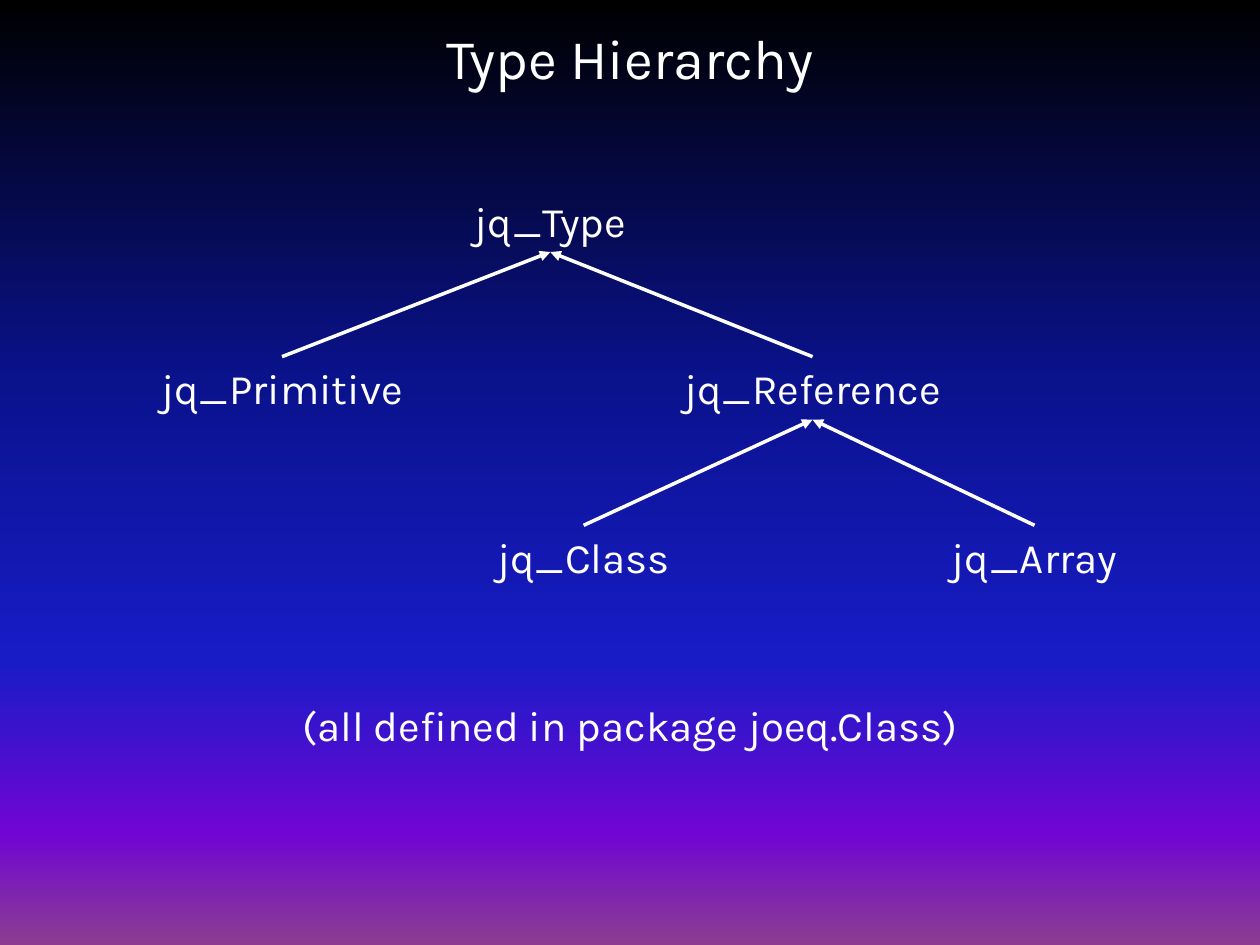
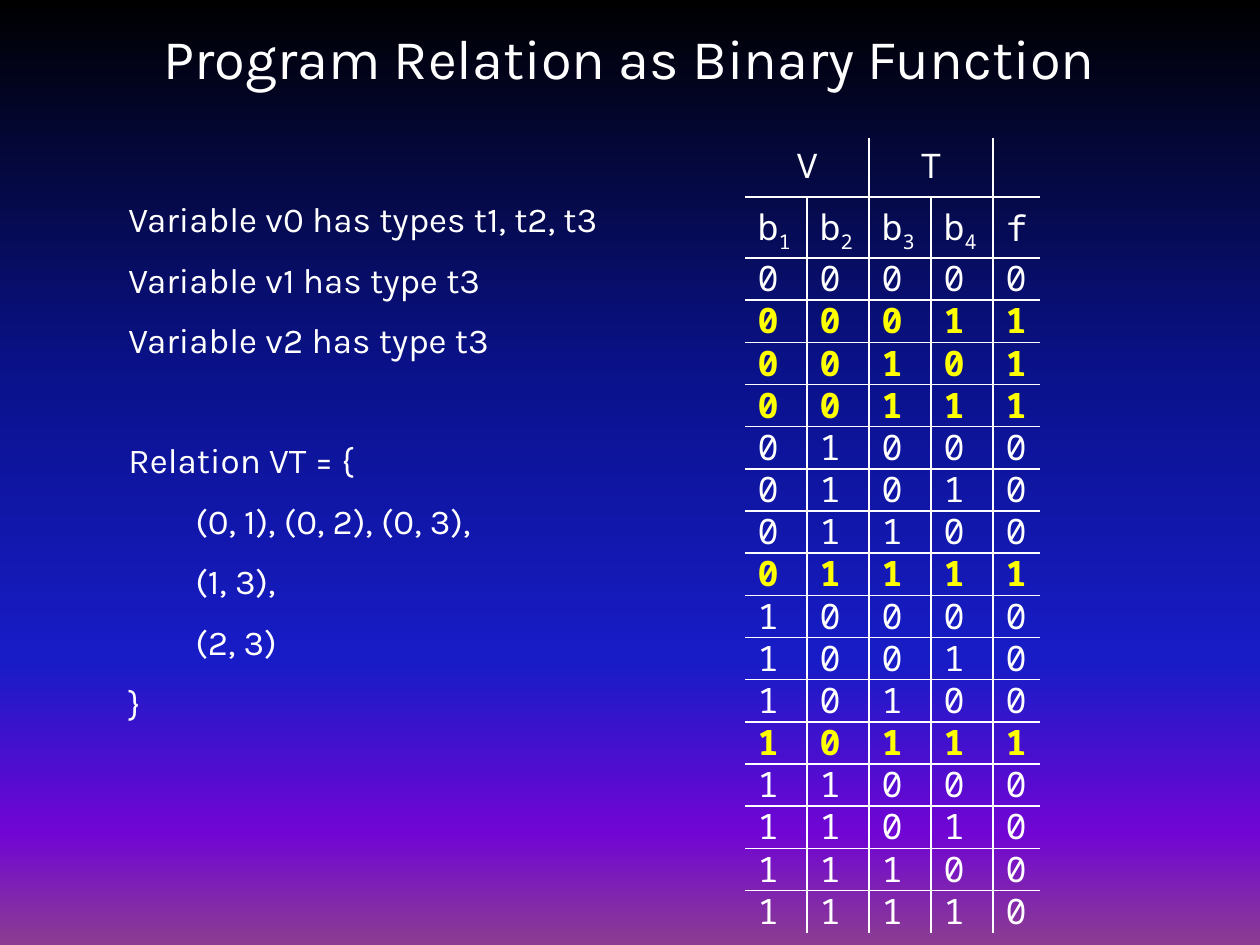
from itertools import product

from lxml import etree
from pptx import Presentation
from pptx.dml.color import RGBColor
from pptx.enum.shapes import MSO_CONNECTOR
from pptx.enum.text import MSO_ANCHOR as Anchor, PP_ALIGN as Align
from pptx.oxml.ns import qn
from pptx.util import Cm, Pt

COLORS = {"text": "FFFFFF", "highlight": "FFFF00"}
BACKGROUND_STOPS = {0: "000000", 40: "0A128C", 70: "181CC7", 88: "7005D4", 100: "8C3D91"}
SANS, MONO = "Karla", "Noto Sans Mono"

NODE_HEIGHT = 1.27
TYPES = {  # name: (left, top, width, parent)
    "jq_Type": (6.55, 3.81, 9.09, None),
    "jq_Primitive": (0.2, 7.19, 10.97, "jq_Type"),
    "jq_Reference": (10.74, 7.19, 11.28, "jq_Type"),
    "jq_Class": (7.42, 10.59, 8.69, "jq_Reference"),
    "jq_Array": (16.51, 10.59, 8.69, "jq_Reference"),
}

RELATION = {(0, 1), (0, 2), (0, 3), (1, 3), (2, 3)}
LINE_GAP, SECTION_GAP, PAIR_INDENT = 10.6, 44.6, 1.35
RELATION_LINES = [  # text, space before in points, indent in cm
    ("Variable v0 has types t1, t2, t3", 0, 0),
    ("Variable v1 has type t3", LINE_GAP, 0),
    ("Variable v2 has type t3", LINE_GAP, 0),
    ("Relation VT = {", SECTION_GAP, 0),
    ("(0, 1), (0, 2), (0, 3),", LINE_GAP, PAIR_INDENT),
    ("(1, 3),", LINE_GAP, PAIR_INDENT),
    ("(2, 3)", LINE_GAP, PAIR_INDENT),
    ("}", LINE_GAP, 0),
]


class Deck:
    def __init__(self):
        self.prs = Presentation()
        self.prs.slide_width, self.prs.slide_height = Cm(25.4), Cm(19.05)
        self.slide = None
        self.paint_background()

    def paint_background(self):
        fill = self.prs.slide_master.background.fill
        fill.gradient()
        fill.gradient_angle = 270
        background = self.prs.slide_master.element.cSld.find(qn("p:bg"))
        stops = background.find(".//" + qn("a:gsLst"))
        for stop in list(stops):
            stops.remove(stop)
        for percent, color in BACKGROUND_STOPS.items():
            stop = etree.SubElement(stops, qn("a:gs"), pos=str(percent * 1000))
            etree.SubElement(stop, qn("a:srgbClr"), val=color)

    def add_slide(self, title):
        self.slide = self.prs.slides.add_slide(self.prs.slide_layouts[5])
        heading = self.slide.shapes.title
        heading.left, heading.top = Cm(0), Cm(0.2)
        heading.width, heading.height = self.prs.slide_width, Cm(1.9)
        heading.text_frame.vertical_anchor = Anchor.MIDDLE
        paragraph = heading.text_frame.paragraphs[0]
        paragraph.alignment = Align.CENTER
        self.run(paragraph, title, 32)

    def run(self, paragraph, text, size, font=SANS, color="text", bold=False):
        run = paragraph.add_run()
        run.text = text
        run.font.size, run.font.name, run.font.bold = Pt(size), font, bold
        run.font.color.rgb = RGBColor.from_string(COLORS[color])
        return run

    def text_frame(self, left, top, width, height):
        box = self.slide.shapes.add_textbox(Cm(left), Cm(top), Cm(width), Cm(height))
        box.text_frame.word_wrap = True
        return box.text_frame

    def label(self, text, left, top, width, line_spacing=None):
        paragraph = self.text_frame(left, top, width, NODE_HEIGHT).paragraphs[0]
        paragraph.alignment = Align.CENTER
        paragraph.line_spacing = line_spacing
        self.run(paragraph, text, 24)

    def lines(self, rows, left, top, width, height):
        frame = self.text_frame(left, top, width, height)
        for index, (text, gap, indent) in enumerate(rows):
            paragraph = frame.add_paragraph() if index else frame.paragraphs[0]
            if indent:
                paragraph._p.get_or_add_pPr().set("marL", str(Cm(indent)))
            paragraph.space_before = Pt(gap)
            self.run(paragraph, text, 20)

    def arrow(self, start, end):
        points = [Cm(value) for value in (*start, *end)]
        link = self.slide.shapes.add_connector(MSO_CONNECTOR.STRAIGHT, *points)
        link.line.width = Pt(2)
        link.line.color.rgb = RGBColor.from_string(COLORS["text"])
        etree.SubElement(link.line._get_or_add_ln(), qn("a:tailEnd"), type="triangle")
        etree.SubElement(link._element.spPr, qn("a:effectLst"))

    def table(self, left, top, widths, heights):
        frame = self.slide.shapes.add_table(
            len(heights), len(widths), Cm(left), Cm(top), Cm(sum(widths)), Cm(sum(heights)))
        table = frame.table
        table.first_row = table.horz_banding = False
        for column, width in zip(table.columns, widths):
            column.width = Cm(width)
        for row, height in zip(table.rows, heights):
            row.height = Cm(height)
        return table

    def borders(self, cell, **sides):
        """Draw or hide the sides L, R, T and B, then clear the cell's fill."""
        properties = cell._tc.get_or_add_tcPr()
        for side, shown in sides.items():
            line = etree.SubElement(properties, qn(f"a:ln{side}"), w=str(Pt(1)))
            if shown:
                fill = etree.SubElement(line, qn("a:solidFill"))
                etree.SubElement(fill, qn("a:srgbClr"), val=COLORS["text"])
            else:
                etree.SubElement(line, qn("a:noFill"))
        cell.fill.background()

    def cell_paragraph(self, cell, margin_top=0.13, margin_bottom=0.13):
        cell.vertical_anchor = Anchor.MIDDLE
        cell.margin_top, cell.margin_bottom = Cm(margin_top), Cm(margin_bottom)
        return cell.text_frame.paragraphs[0]


def type_hierarchy(deck):
    deck.add_slide("Type Hierarchy")
    for name, (left, top, width, parent) in TYPES.items():
        deck.label(name, left, top, width)
        if parent:
            parent_left, parent_top, parent_width, _ = TYPES[parent]
            deck.arrow((left + width / 2, top),
                       (parent_left + parent_width / 2, parent_top + NODE_HEIGHT))
    deck.label("(all defined in package joeq.Class)", 1.27, 14.18, 22.86, line_spacing=0.8)


def truth_table(deck):
    assignments = list(product((0, 1), repeat=4))
    table = deck.table(15.02, 2.78, [1.25] * 4 + [0.94],
                       [1.19, 1.23] + [0.85] * len(assignments))
    last_row, last_column = len(table.rows) - 1, len(table.columns) - 1
    for row, column in product(range(last_row + 1), range(last_column + 1)):
        dividers = (2, 4) if row == 0 else range(1, last_column + 1)
        deck.borders(table.cell(row, column), L=column in dividers, R=column + 1 in dividers,
                     T=row > 0, B=row < last_row)

    for column, domain in ((0, "V"), (2, "T")):
        cell = table.cell(0, column)
        cell.merge(table.cell(0, column + 1))
        paragraph = deck.cell_paragraph(cell, margin_top=0.05)
        paragraph.alignment = Align.CENTER
        deck.run(paragraph, domain, 22)

    for bit in range(1, 5):
        paragraph = deck.cell_paragraph(table.cell(1, bit - 1))
        deck.run(paragraph, "b", 20, MONO)
        subscript = deck.run(paragraph, str(bit), 20, MONO)
        subscript._r.get_or_add_rPr().set("baseline", "-25000")
    paragraph = deck.cell_paragraph(table.cell(1, last_column))
    paragraph.alignment = Align.RIGHT
    deck.run(paragraph, "f", 20, MONO)

    for row, (b1, b2, b3, b4) in enumerate(assignments, start=2):
        member = (2 * b1 + b2, 2 * b3 + b4) in RELATION
        for column, value in enumerate((b1, b2, b3, b4, int(member))):
            paragraph = deck.cell_paragraph(table.cell(row, column), 0, 0)
            paragraph.line_spacing = 0.88
            deck.run(paragraph, str(value), 20, MONO,
                     "highlight" if member else "text", bold=member)


def program_relation(deck):
    deck.add_slide("Program Relation as Binary Function")
    deck.lines(RELATION_LINES, 2.34, 3.86, 10.59, 12.65)
    truth_table(deck)


def main():
    deck = Deck()
    type_hierarchy(deck)
    program_relation(deck)
    deck.prs.save("out.pptx")


if __name__ == "__main__":
    main()
